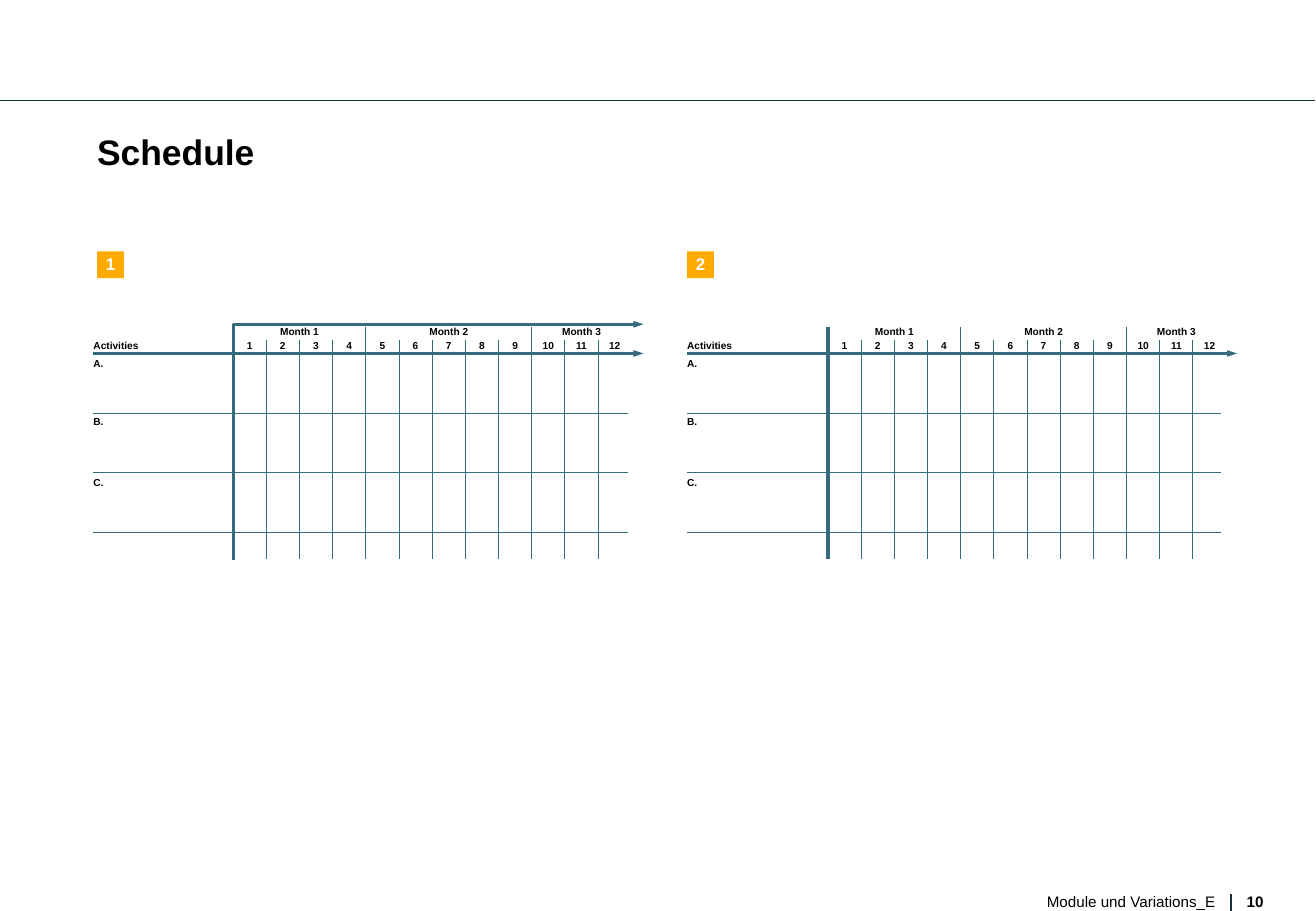
from lxml import etree
from pptx import Presentation
from pptx.dml.color import RGBColor
from pptx.enum.shapes import MSO_CONNECTOR, MSO_SHAPE
from pptx.enum.text import MSO_ANCHOR, MSO_AUTO_SIZE, PP_ALIGN
from pptx.oxml.ns import qn
from pptx.util import Inches, Pt

STRAIGHT = MSO_CONNECTOR.STRAIGHT
RECTANGLE = MSO_SHAPE.RECTANGLE
TOP, MIDDLE = MSO_ANCHOR.TOP, MSO_ANCHOR.MIDDLE
LEFT, CENTER, RIGHT = PP_ALIGN.LEFT, PP_ALIGN.CENTER, PP_ALIGN.RIGHT
FIXED, GROW = MSO_AUTO_SIZE.NONE, MSO_AUTO_SIZE.SHAPE_TO_FIT_TEXT

THEME = {
    "font": "Arial",
    "text": RGBColor(0x00, 0x00, 0x00),
    "badge_text": RGBColor(0xFF, 0xFF, 0xFF),
    "badge": RGBColor(0xFF, 0xAA, 0x00),
    "grid": RGBColor(0x36, 0x6B, 0x7E),
    "frame": RGBColor(0x17, 0x2F, 0x37),
    "title_size": Pt(21),
    "badge_size": Pt(10),
    "footer_size": Pt(9),
    "label_size": Pt(6),
    "thin": Pt(0.5),
    "rule": Pt(0.75),
    "arrow": Pt(1.75),
    "axis": Pt(2),
}
ARROWHEAD = {"type": "triangle", "w": "sm", "len": "med"}

presentation = Presentation()
presentation.slide_width = Inches(10.84)
presentation.slide_height = Inches(7.5)
slide = presentation.slides.add_slide(presentation.slide_layouts[6])
shapes = slide.shapes


def write_text(shape, text, size, color="text", bold=True, align=LEFT,
               anchor=MIDDLE, wrap=False, spacing=None, auto_size=FIXED):
    frame = shape.text_frame
    frame_format = {"margin_left": 0, "margin_top": 0, "margin_right": 0,
                    "margin_bottom": 0, "word_wrap": wrap,
                    "vertical_anchor": anchor, "auto_size": auto_size}
    for name, value in frame_format.items():
        setattr(frame, name, value)
    paragraph = frame.paragraphs[0]
    paragraph.text = text
    paragraph.alignment = align
    paragraph.line_spacing = spacing
    font = paragraph.runs[0].font
    font_format = {"name": THEME["font"], "size": THEME[size], "bold": bold}
    for name, value in font_format.items():
        setattr(font, name, value)
    font.color.rgb = THEME[color]


def add_line(start_x, start_y, end_x, end_y, color="grid", width="thin", arrow=False):
    line = shapes.add_connector(STRAIGHT, Inches(start_x), Inches(start_y),
                                Inches(end_x), Inches(end_y))
    line.line.color.rgb = THEME[color]
    line.line.width = THEME[width]
    if arrow:
        etree.SubElement(line.line._get_or_add_ln(), qn("a:tailEnd"), ARROWHEAD)
    etree.SubElement(line._element.spPr, qn("a:effectLst"))


add_line(0, 0.83, 10.83, 0.83, "frame", "rule")
add_line(10.14, 7.36, 10.14, 7.5, "frame", "rule")

page_number = shapes.add_textbox(Inches(10.27), Inches(7.35), Inches(0.17), Inches(0.14))
write_text(page_number, "10", "footer_size", anchor=TOP)
footer = shapes.add_textbox(Inches(6.22), Inches(7.34), Inches(3.79), Inches(0.15))
write_text(footer, "Module und Variations_E", "footer_size", bold=False, align=RIGHT,
           anchor=TOP, wrap=True, spacing=Pt(11))
title = shapes.add_textbox(Inches(0.8), Inches(1.1), Inches(9.36), Inches(0.72))
write_text(title, "Schedule", "title_size", anchor=TOP, wrap=True, spacing=0.93)

WEEKS = 12
WEEK_WIDTH = 3.28 / WEEKS
MONTH_STARTS = [0, 4, 9, WEEKS]
LABEL_HEIGHT = 0.1
MONTH_TOP, WEEK_TOP = 2.68, 2.79
AXIS_Y, ROW_HEIGHT = 2.91, 0.49
GRID_BOTTOM = 4.6
ROW_LABELS = [("Activities", 0.39, WEEK_TOP), ("A.", 0.1, 2.94),
              ("B.", 0.1, 3.42), ("C.", 0.1, 3.92)]
SCHEDULES = [
    {"number": "1", "badge_left": 0.8, "left": 0.77, "axis": 1.92, "top_arrow": True},
    {"number": "2", "badge_left": 5.66, "left": 5.66, "axis": 6.82, "top_arrow": False},
]

for schedule in SCHEDULES:
    left, axis = schedule["left"], schedule["axis"]
    arrow_end = left + 4.53

    for week in range(1, WEEKS):
        x = axis + week * WEEK_WIDTH
        add_line(x, 2.69 if week in MONTH_STARTS else 2.8, x, GRID_BOTTOM)
    for row in range(1, 4):
        y = AXIS_Y + row * ROW_HEIGHT
        add_line(left, y, left + 4.4, y)
    add_line(left, AXIS_Y, arrow_end, AXIS_Y, width="arrow", arrow=True)

    if schedule["top_arrow"]:
        builder = shapes.build_freeform(Inches(axis), Inches(4.61))
        builder.add_line_segments([(Inches(axis), Inches(2.67)),
                                   (Inches(arrow_end), Inches(2.67))], close=False)
        timeline = builder.convert_to_shape()
        timeline.shadow.inherit = False
        timeline.fill.background()
        timeline.line.color.rgb = THEME["grid"]
        timeline.line.width = THEME["arrow"]
        etree.SubElement(timeline.line._get_or_add_ln(), qn("a:tailEnd"), ARROWHEAD)
    else:
        add_line(axis, 2.69, axis, GRID_BOTTOM, width="axis")

    labels = [(text, left, top, width, LEFT) for text, width, top in ROW_LABELS]
    for week in range(1, WEEKS + 1):
        width = 0.06 if week < 10 else 0.11
        center = axis + (week - 0.5) * WEEK_WIDTH
        labels.append((str(week), center - width / 2, WEEK_TOP, width, CENTER))
    for month, (start, end) in enumerate(zip(MONTH_STARTS, MONTH_STARTS[1:]), 1):
        center = axis + (start + end) / 2 * WEEK_WIDTH
        labels.append((f"Month {month}", center - 0.17, MONTH_TOP, 0.34, CENTER))
    for text, label_left, top, width, align in labels:
        label = shapes.add_textbox(Inches(label_left), Inches(top),
                                   Inches(width), Inches(LABEL_HEIGHT))
        write_text(label, text, "label_size", align=align, auto_size=GROW)

    badge = shapes.add_shape(RECTANGLE, Inches(schedule["badge_left"]), Inches(2.07),
                             Inches(0.22), Inches(0.22))
    badge.shadow.inherit = False
    badge.fill.solid()
    badge.fill.fore_color.rgb = THEME["badge"]
    badge.line.fill.background()
    write_text(badge, schedule["number"], "badge_size", "badge_text", align=CENTER, spacing=0.93)

presentation.save("out.pptx")
